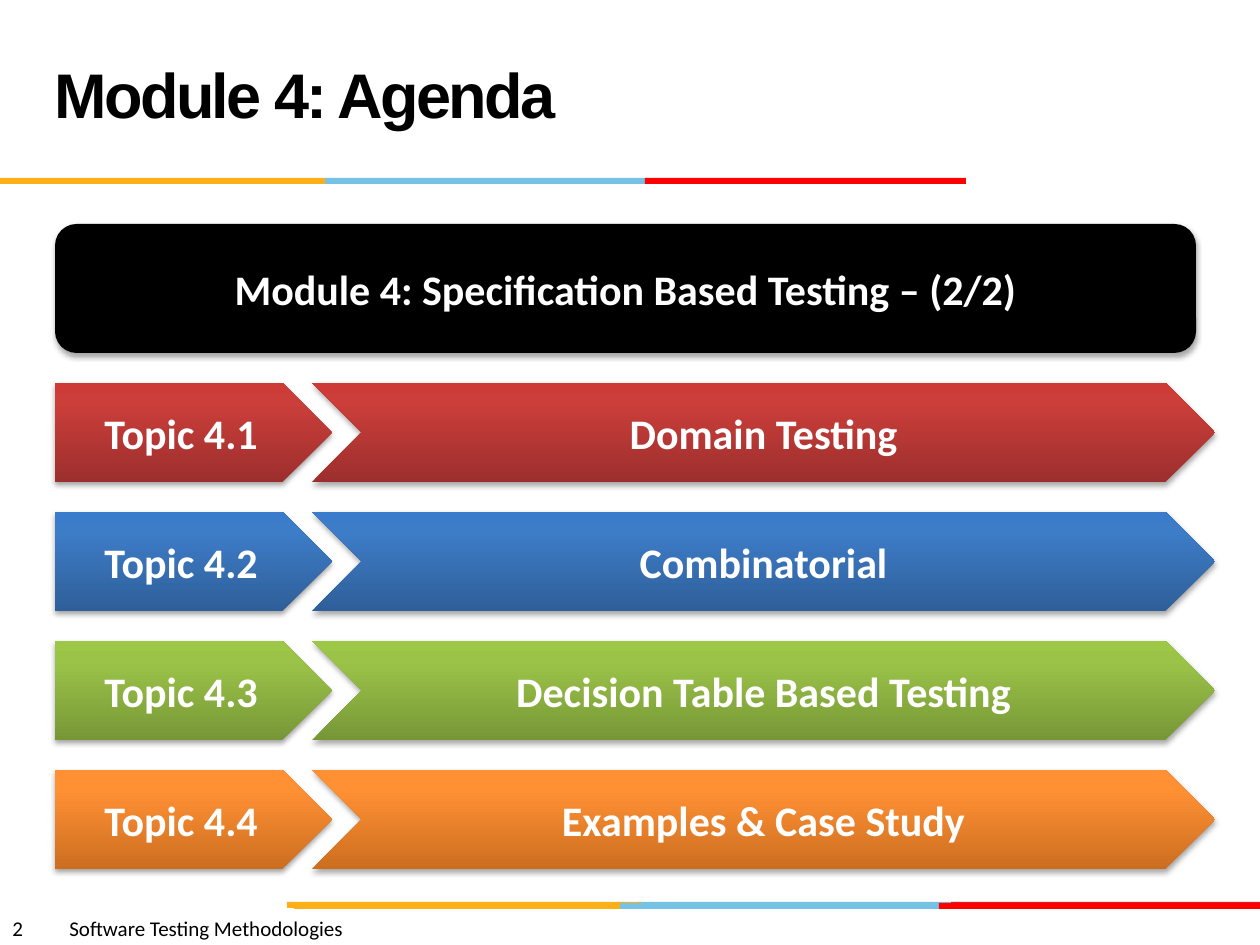
from copy import deepcopy
from lxml.etree import SubElement
from pptx import Presentation
from pptx.dml.color import RGBColor
from pptx.enum.shapes import MSO_SHAPE
from pptx.enum.text import MSO_ANCHOR, MSO_AUTO_SIZE, PP_ALIGN
from pptx.oxml.ns import qn
from pptx.util import Emu, Pt

SCALE = 914400 / 126
BLACK = RGBColor(0x00, 0x00, 0x00)
WHITE = RGBColor(0xFF, 0xFF, 0xFF)
GOLD = RGBColor(0xFC, 0xB0, 0x17)
SKY = RGBColor(0x76, 0xC2, 0xE5)
RED = RGBColor(0xFF, 0x00, 0x00)
BRICK = RGBColor(0xE3, 0x1C, 0x24)
REDS = RGBColor(0x9C, 0x2F, 0x2D), RGBColor(0xCB, 0x3E, 0x3A), RGBColor(0xCE, 0x3B, 0x37)
BLUES = RGBColor(0x2F, 0x5F, 0x99), RGBColor(0x3D, 0x7C, 0xC7), RGBColor(0x3A, 0x7C, 0xCB)
GREENS = RGBColor(0x77, 0x97, 0x37), RGBColor(0x9B, 0xC3, 0x48), RGBColor(0x9D, 0xC7, 0x46)
AMBERS = RGBColor(0xCC, 0x6E, 0x20), RGBColor(0xFF, 0x90, 0x34), RGBColor(0xFF, 0x91, 0x36)


def write(shape, text, size=24, face="Calibri", color=WHITE, bold=True,
          align=PP_ALIGN.CENTER, anchor=MSO_ANCHOR.MIDDLE):
    frame = shape.text_frame
    frame.word_wrap = True
    frame.vertical_anchor = anchor
    para = frame.paragraphs[0]
    para.alignment = align
    run = para.add_run()
    run.text = text
    font = run.font
    font.size, font.name, font.bold = Pt(size), face, bold
    font.color.rgb = color
    return para


def draw(kind, *box, fill, shade=True):
    shape = slide.shapes.add_shape(kind, *[Emu(round(n * SCALE)) for n in box])
    shape.line.fill.background()
    shape.shadow.inherit = False
    if isinstance(fill, RGBColor):
        shape.fill.solid()
        shape.fill.fore_color.rgb = fill
    else:
        shape.fill.gradient()
        shape.fill.gradient_angle = 90
        group = shape._element.spPr.find(".//" + qn("a:gsLst"))
        group.append(deepcopy(group[-1]))
        for stop, place, color in zip(shape.fill.gradient_stops, (0, 0.8, 1), fill):
            stop.position = place
            stop.color.rgb = color
    if shade:
        effects = shape._element.spPr.find(qn("a:effectLst"))
        shadow = SubElement(effects, qn("a:outerShdw"), blurRad="40000",
                            dist="23000", dir="5400000", rotWithShape="0")
        tint = SubElement(shadow, qn("a:srgbClr"), val="000000")
        SubElement(tint, qn("a:alpha"), val="35000")
    return shape


deck = Presentation()
deck.slide_width = Emu(round(1260 * SCALE))
deck.slide_height = Emu(round(945 * SCALE))
slide = deck.slides.add_slide(deck.slide_layouts[5])

bars = [
    (638, 902, 321, SKY), (951, 902, 309, BRICK), (287, 902, 355, GOLD),
    (620, 903, 321, SKY), (294, 903, 326, GOLD), (939, 903, 321, RED),
    (325, 178, 321, SKY), (0, 178, 325, GOLD), (645, 178, 321, RED),
]
for left, top, width, color in bars:
    draw(MSO_SHAPE.RECTANGLE, left, top, width, 6, fill=color, shade=False)

foot = slide.shapes.add_textbox(*[Emu(round(n * SCALE)) for n in (0, 909, 630, 38)])
line = foot.text_frame.paragraphs[0]
tabs = SubElement(line._p.get_or_add_pPr(), qn("a:tabLst"))
SubElement(tabs, qn("a:tab"), pos=str(round(57 * SCALE)), algn="l")
write(foot, "2\tSoftware Testing Methodologies", size=12, color=BLACK, bold=False,
      align=PP_ALIGN.LEFT, anchor=MSO_ANCHOR.TOP)

title = slide.shapes.title
title.left, title.top, title.width, title.height = [
    Emu(round(n * SCALE)) for n in (42, 21, 872, 158)]
title.text_frame.auto_size = MSO_AUTO_SIZE.NONE
head = write(title, "Module 4: Agenda", size=36, face="Arial", color=BLACK,
             align=PP_ALIGN.LEFT)
head.line_spacing = Pt(36)
head.runs[0].font._element.set("spc", "-150")

topics = [
    ("Domain Testing", REDS),
    ("Combinatorial", BLUES),
    ("Decision Table Based Testing", GREENS),
    ("Examples & Case Study", AMBERS),
]
for row, (topic, colors) in enumerate(topics):
    top = 383 + 129 * row
    label = draw(MSO_SHAPE.PENTAGON, 55, top, 277, 99, fill=colors)
    write(label, f"Topic 4.{row + 1}")
    arrow = draw(MSO_SHAPE.CHEVRON, 312, top, 903, 99, fill=colors)
    write(arrow, topic)

banner = draw(MSO_SHAPE.ROUNDED_RECTANGLE, 55, 224, 1141, 129, fill=BLACK)
write(banner, "Module 4: Specification Based Testing – (2/2)")

deck.save("out.pptx")
